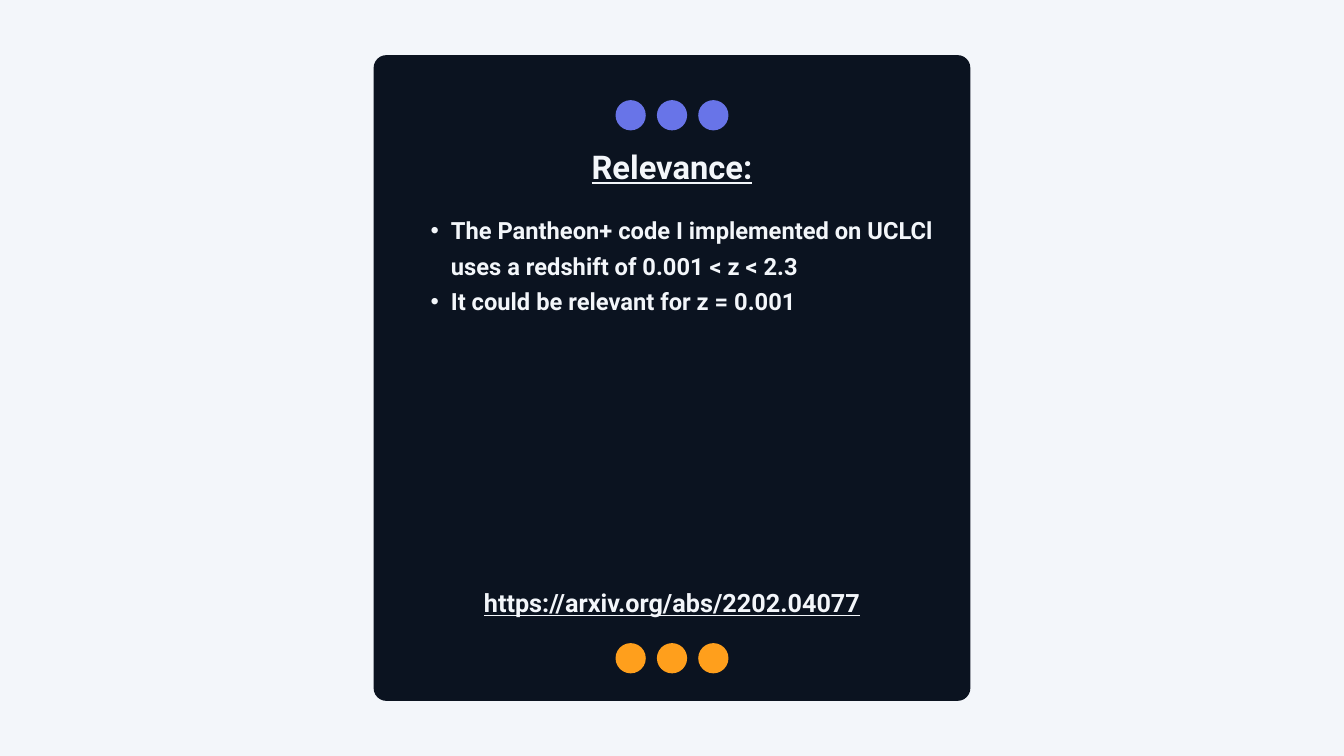
from lxml.etree import SubElement
from pptx import Presentation
from pptx.dml.color import RGBColor
from pptx.enum.shapes import MSO_SHAPE
from pptx.enum.text import PP_ALIGN
from pptx.oxml.ns import qn
from pptx.util import Inches, Pt

PAPER = RGBColor(0xF3, 0xF6, 0xFA)
NAVY = RGBColor(0x0B, 0x13, 0x20)
VIOLET = RGBColor(0x68, 0x74, 0xE8)
ORANGE = RGBColor(0xFF, 0x9F, 0x1C)

WIDTH, HEIGHT = 20, 11.25
CENTER = WIDTH / 2
CARD_WIDTH, CARD_TOP, CARD_HEIGHT = 8.88, 0.82, 9.61
CORNER = 0.19
DOT, DOT_PITCH = 0.45, 0.615


def add_filled(s, preset, left, top, width, height, color):
    sp = s.shapes.add_shape(preset, Inches(left), Inches(top),
                            Inches(width), Inches(height))
    sp.shadow.inherit = False
    sp.fill.solid()
    sp.fill.fore_color.rgb = color
    sp.line.fill.background()
    return sp


def add_card(s):
    card = add_filled(s, MSO_SHAPE.ROUNDED_RECTANGLE, CENTER - CARD_WIDTH / 2,
                      CARD_TOP, CARD_WIDTH, CARD_HEIGHT, NAVY)
    card.adjustments[0] = CORNER / CARD_WIDTH


def add_dots(s, top, color):
    """Draw three dots in a row, centred on the slide."""
    for column in (-1, 0, 1):
        left = CENTER + column * DOT_PITCH - DOT / 2
        add_filled(s, MSO_SHAPE.OVAL, left, top, DOT, DOT, color)


def add_bullet(p):
    pPr = p._p.get_or_add_pPr()
    pPr.set("marL", str(Inches(0.6)))
    pPr.set("indent", str(Inches(-0.3)))
    SubElement(pPr, qn("a:buFont")).set("typeface", "Arial")
    SubElement(pPr, qn("a:buChar")).set("char", "•")


def add_text(s, lines, left, top, width, height, *, size, leading,
             align=PP_ALIGN.CENTER, underline=None, bullets=False):
    box = s.shapes.add_textbox(Inches(left), Inches(top),
                               Inches(width), Inches(height))
    tf = box.text_frame
    tf.word_wrap = True
    tf.margin_left = tf.margin_right = tf.margin_top = tf.margin_bottom = 0
    for i, line in enumerate(lines):
        p = tf.add_paragraph() if i else tf.paragraphs[0]
        if bullets:
            add_bullet(p)
        p.alignment = align
        p.line_spacing = Pt(leading)
        r = p.add_run()
        r.text = line
        r.font.name = "Roboto"
        r.font.size = Pt(size)
        r.font.bold = True
        r.font.underline = underline
        r.font.color.rgb = PAPER


def main():
    prs = Presentation()
    prs.slide_width, prs.slide_height = Inches(WIDTH), Inches(HEIGHT)
    s = prs.slides.add_slide(prs.slide_layouts[6])
    s.background.fill.solid()
    s.background.fill.fore_color.rgb = PAPER

    add_card(s)
    add_dots(s, 1.49, VIOLET)
    add_dots(s, 9.57, ORANGE)
    add_text(s, ["Relevance:"], 6.6, 2.04, 6.8, 0.69,
             size=35, leading=52.5, underline=True)
    add_text(s, ["The Pantheon+ code I implemented on UCLCl "
                 "uses a redshift of 0.001 < z < 2.3",
                 "It could be relevant for z = 0.001"],
             6.11, 3.11, 8.23, 1.57,
             size=25.4, leading=38.1, align=PP_ALIGN.LEFT, bullets=True)
    add_text(s, ["https://arxiv.org/abs/2202.04077"], 7.17, 8.67, 5.66, 0.51,
             size=27, leading=37.8, underline=True)

    prs.save("out.pptx")


if __name__ == "__main__":
    main()
